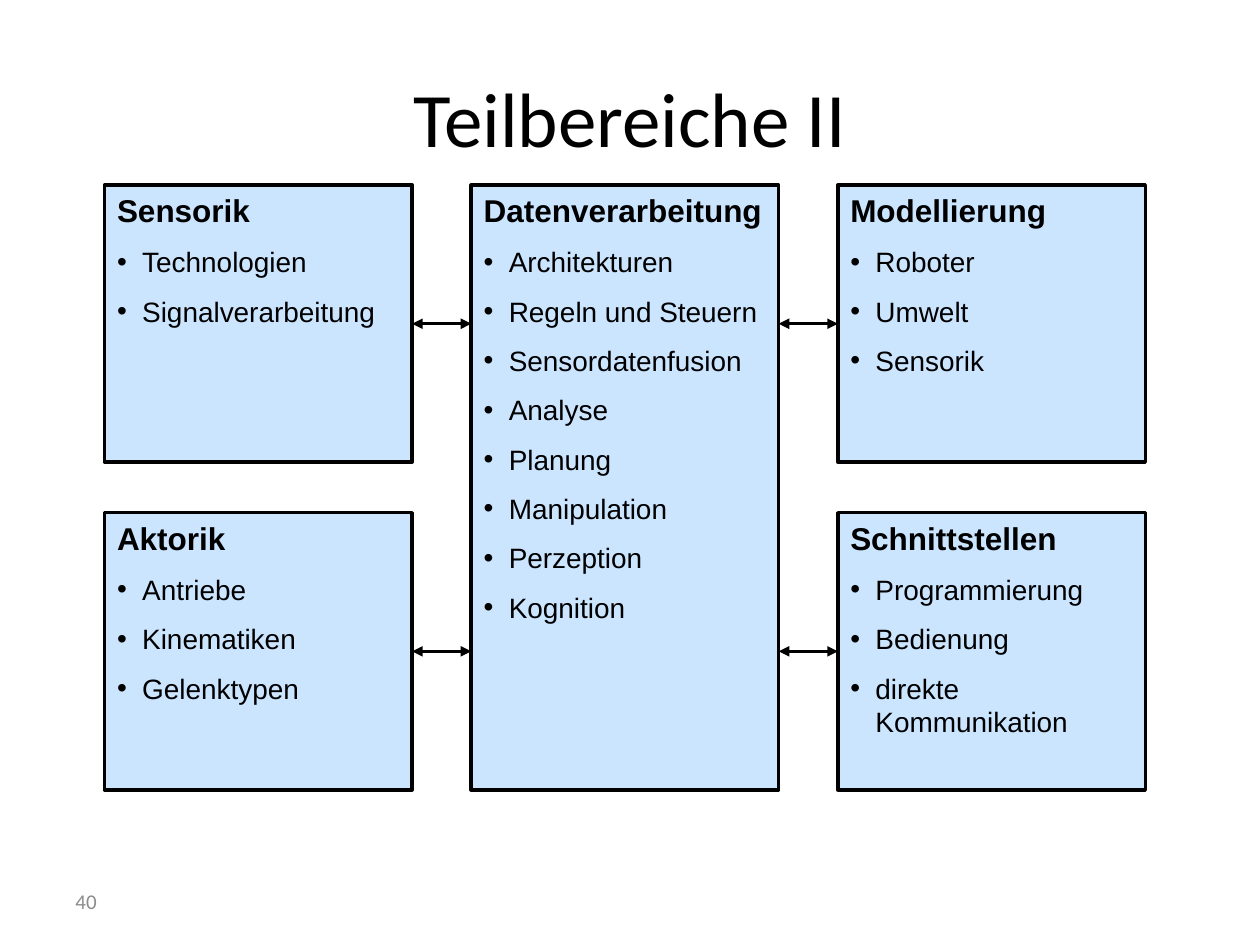
from lxml.etree import SubElement
from pptx import Presentation
from pptx.dml.color import RGBColor
from pptx.enum.shapes import MSO_CONNECTOR, MSO_SHAPE
from pptx.enum.text import MSO_ANCHOR, PP_ALIGN
from pptx.oxml.ns import qn
from pptx.util import Pt

BLACK = RGBColor(0x00, 0x00, 0x00)
GREY = RGBColor(0x8C, 0x8C, 0x8C)
BLUE = RGBColor(0x99, 0xCC, 0xFF)

LEFT, TOP = 59.8, 105.8
WIDTH, HEIGHT = 175.7, 158.4
STEP_X, STEP_Y = 209.5, 187.2
INDENT = Pt(14.4)

HEAD = {"name": "Arial", "size": Pt(18), "bold": True}
ITEM = {"name": "Arial", "size": Pt(16), "bold": False}

# column, row, rows spanned, heading, items
BOXES = [
    (1, 0, 2, "Datenverarbeitung",
     ["Architekturen", "Regeln und Steuern", "Sensordatenfusion", "Analyse",
      "Planung", "Manipulation", "Perzeption", "Kognition"]),
    (0, 0, 1, "Sensorik", ["Technologien", "Signalverarbeitung"]),
    (0, 1, 1, "Aktorik", ["Antriebe", "Kinematiken", "Gelenktypen"]),
    (2, 0, 1, "Modellierung", ["Roboter", "Umwelt", "Sensorik"]),
    (2, 1, 1, "Schnittstellen",
     ["Programmierung", "Bedienung", "direkte Kommunikation"]),
]

# text, left, top, width, height, size, colour, alignment
LABELS = [
    ("40", 36, 500.4, 168, 28.8, 12, GREY, PP_ALIGN.LEFT),
    ("Teilbereiche II", 36, 21.6, 648, 90, 44, BLACK, PP_ALIGN.CENTER),
]


def style(font, look, color):
    for key, value in look.items():
        setattr(font, key, value)
    font.color.rgb = color


deck = Presentation()
deck.slide_width, deck.slide_height = Pt(720), Pt(540)
slide = deck.slides.add_slide(deck.slide_layouts[6])
shapes = slide.shapes

for text, x, y, w, h, size, color, align in LABELS:
    frame = shapes.add_textbox(Pt(x), Pt(y), Pt(w), Pt(h)).text_frame
    frame.word_wrap = True
    frame.vertical_anchor = MSO_ANCHOR.MIDDLE
    para = frame.paragraphs[0]
    para.text = text
    para.alignment = align
    style(para.font, {"name": "Calibri", "size": Pt(size)}, color)

for col, row, span, head, items in BOXES:
    box = shapes.add_shape(
        MSO_SHAPE.RECTANGLE,
        Pt(LEFT + col * STEP_X), Pt(TOP + row * STEP_Y),
        Pt(WIDTH), Pt(HEIGHT + (span - 1) * STEP_Y))
    box.shadow.inherit = False
    box.fill.solid()
    box.fill.fore_color.rgb = BLUE
    tint = box.fill._xPr.find(qn("a:solidFill"))[0]
    SubElement(tint, qn("a:alpha"), val="50000")
    box.line.color.rgb = BLACK
    box.line.width = Pt(2)

    frame = box.text_frame
    frame.word_wrap = True
    frame.vertical_anchor = MSO_ANCHOR.TOP
    for index, text in enumerate([head] + items):
        para = frame.add_paragraph() if index else frame.paragraphs[0]
        para.text = text
        para.alignment = PP_ALIGN.LEFT
        if index:
            para.space_before = Pt(9)
        props = para._p.get_or_add_pPr()
        props.set("marL", str(INDENT))
        props.set("indent", str(-INDENT))
        if index:
            SubElement(props, qn("a:buFont"), typeface="Arial")
            SubElement(props, qn("a:buChar"), char="•")
        style(para.font, ITEM if index else HEAD, BLACK)

for col in range(2):
    for row in range(2):
        x = LEFT + col * STEP_X + WIDTH
        y = Pt(TOP + row * STEP_Y + HEIGHT / 2)
        arrow = shapes.add_connector(
            MSO_CONNECTOR.STRAIGHT, Pt(x), y, Pt(x + STEP_X - WIDTH), y)
        arrow.line.color.rgb = BLACK
        arrow.line.width = Pt(2)
        edge = arrow.line._get_or_add_ln()
        for end in ("a:headEnd", "a:tailEnd"):
            SubElement(edge, qn(end), type="triangle")
        SubElement(arrow._element.spPr, qn("a:effectLst"))

deck.save("out.pptx")
